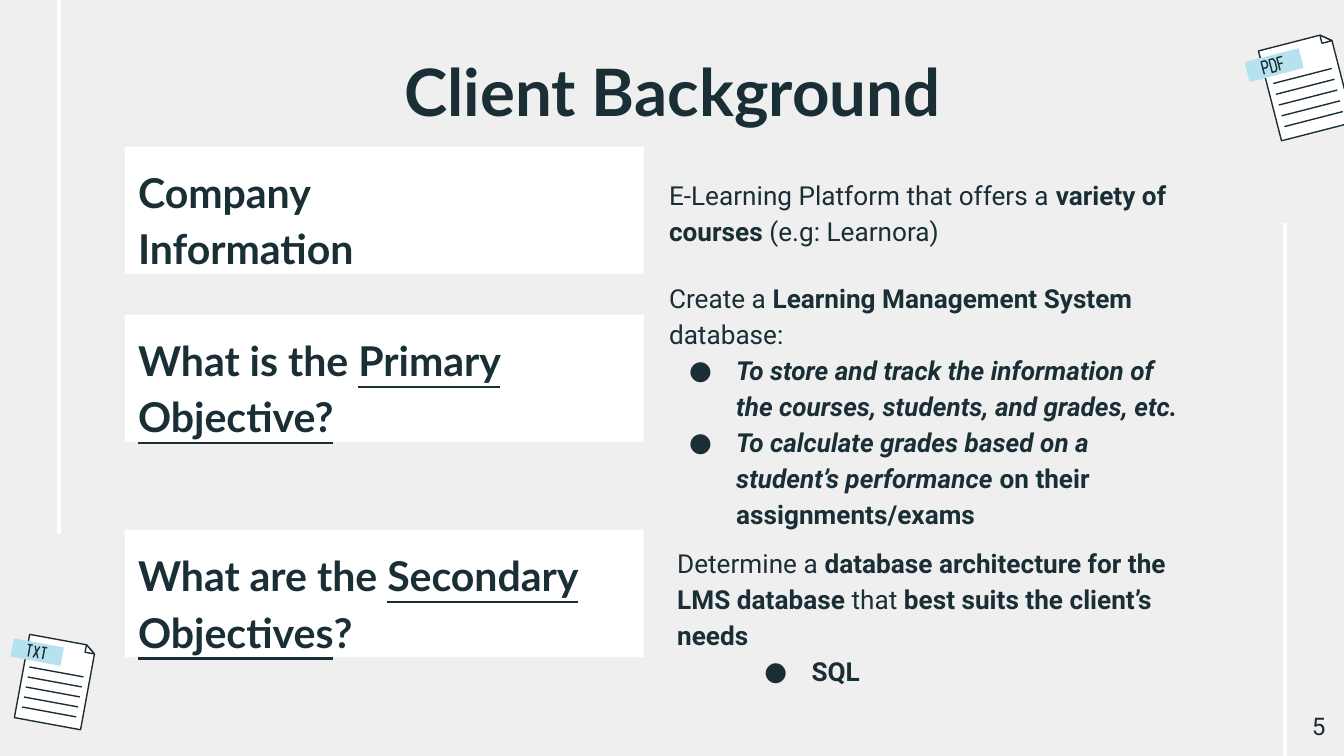
from lxml import etree
from pptx import Presentation
from pptx import util as u
from pptx.dml.color import RGBColor
from pptx.enum import shapes, text
from pptx.oxml import ns

INK, PAPER, TAPE, GROUND = "1A2E35", "FFFFFF", "B6E1EE", "EFEFEF"
WIDTH = 10
HEIGHT = WIDTH * 9 / 16

# Pen strokes of each letter inside a unit cell
LETTERS = {
    "T": [[(0, 0), (1, 0)], [(0.5, 0), (0.5, 1)]],
    "X": [[(0, 0), (1, 1)], [(1, 0), (0, 1)]],
    "P": [[(0, 1), (0, 0), (0.7, 0), (1, 0.15), (1, 0.4), (0.7, 0.55), (0, 0.55)]],
    "D": [[(0, 0), (0.7, 0), (1, 0.2), (1, 0.8), (0.7, 1), (0, 1), (0, 0)]],
    "F": [[(1, 0), (0, 0), (0, 1)], [(0, 0.5), (0.8, 0.5)]],
}

# Text is a list of paragraphs: (bullet indent or None, [(words, styles)])
HEADINGS = [
    (1.09, [(None, [("Company", "b")]), (None, [("Information", "b")])]),
    (2.34, [(None, [("What is the ", "b"), ("Primary Objective?", "bu")])]),
    (3.94, [(None, [("What are the ", "b"), ("Secondary Objectives", "bu"),
                    ("?", "b")])]),
]
COMPANY = [(None, [("E-Learning Platform that offers a ", ""),
                   ("variety of courses", "b"), (" (e.g: Learnora)", "")])]
PRIMARY = [
    (None, [("Create a ", ""), ("Learning Management System ", "b"),
            ("database:", "")]),
    (0.5, [("To store and track the information of the courses, students, "
            "and grades, etc.", "bi")]),
    (0.5, [("To calculate grades based on a student’s performance", "bi"),
           (" on their assignments/exams", "b")]),
]
SECONDARY = [
    (None, [("Determine a ", ""),
            ("database architecture for the LMS database ", "b"),
            ("that ", ""), ("best suits the client’s needs", "b")]),
    (1, [("SQL", "b")]),
]


def color(value):
    return RGBColor.from_string(value)


def inches(*lengths):
    return [u.Inches(length) for length in lengths]


def add_line(parent, start, end, ink, weight):
    line = parent.add_connector(shapes.MSO_CONNECTOR.STRAIGHT,
                                *inches(*start, *end))
    line.line.color.rgb = color(ink)
    line.line.width = u.Pt(weight)
    etree.SubElement(line._element.spPr, ns.qn("a:effectLst"))


def add_outline(parent, strokes, fill=None, ink=None):
    """Draw point lists in inches as one shape, closed when it is filled."""
    strokes = [[inches(*point) for point in points] for points in strokes]
    builder = parent.build_freeform(*strokes[0][0])
    for number, points in enumerate(strokes):
        if number:
            builder.move_to(*points[0])
        builder.add_line_segments(points[1:], close=bool(fill))
    outline = builder.convert_to_shape()
    outline.shadow.inherit = False
    if fill:
        outline.fill.solid()
        outline.fill.fore_color.rgb = color(fill)
    else:
        outline.fill.background()
    if ink:
        outline.line.color.rgb = color(ink)
        outline.line.width = u.Pt(0.75)
    else:
        outline.line.fill.background()


def add_document(page, box, angle, label):
    """Draw a tilted sheet with a folded corner and a taped file type."""
    left, top, width, height = box
    group = page.shapes.add_group_shape()
    parts = group.shapes

    def at(across, down):
        return left + across * width, top + down * height

    edge, fold, drop = 0.18, 0.885, 0.09
    add_outline(parts, [[at(edge, 0), at(fold, 0), at(1, drop), at(1, 1),
                         at(edge, 1)]], PAPER, INK)
    add_outline(parts, [[at(fold, 0), at(1, drop), at(fold, drop)]], PAPER, INK)
    for row in range(5):
        down = 0.38 + 0.12 * row
        add_line(parts, at(0.25, down), at(0.92, down), INK, 0.75)
    add_outline(parts, [[at(0, 0.08), at(0.62, 0.08), at(0.62, 0.3),
                         at(0, 0.3)]], TAPE)
    for column, letter in enumerate(label):
        cell = 0.18 + 0.09 * column
        add_outline(parts, [[at(cell + 0.06 * x, 0.12 + 0.14 * y)
                             for x, y in stroke]
                            for stroke in LETTERS[letter]], ink=INK)
    group.rotation = angle


def add_bullet(para, indent):
    props = para._p.get_or_add_pPr()
    props.set("marL", str(u.Inches(indent)))
    props.set("indent", str(u.Inches(-0.35)))
    tint = etree.SubElement(props, ns.qn("a:buClr"))
    etree.SubElement(tint, ns.qn("a:srgbClr"), val=INK)
    etree.SubElement(props, ns.qn("a:buFont"), typeface="Roboto")
    etree.SubElement(props, ns.qn("a:buChar"), char="●")


def write(shape, paragraphs, font, size, align=text.PP_ALIGN.LEFT,
          anchor=text.MSO_ANCHOR.TOP, spacing=1.15):
    frame = shape.text_frame
    frame.word_wrap = True
    frame.vertical_anchor = anchor
    frame.margin_left = frame.margin_right = u.Inches(0.1)
    frame.margin_top = frame.margin_bottom = u.Inches(0.1)
    for number, (indent, spans) in enumerate(paragraphs):
        para = frame.add_paragraph() if number else frame.paragraphs[0]
        para.alignment = align
        para.line_spacing = spacing
        if indent:
            add_bullet(para, indent)
        for words, styles in spans:
            span = para.add_run()
            span.text = words
            span.font.name = font
            span.font.size = u.Pt(size)
            span.font.color.rgb = color(INK)
            span.font.bold = "b" in styles
            span.font.italic = "i" in styles
            span.font.underline = "u" in styles
    return frame


def add_text(page, box, paragraphs, font, size, **layout):
    return write(page.shapes.add_textbox(*inches(*box)), paragraphs, font,
                 size, **layout)


def add_heading(page, box, paragraphs):
    panel = page.shapes.add_shape(shapes.MSO_SHAPE.RECTANGLE, *inches(*box))
    panel.shadow.inherit = False
    panel.fill.solid()
    panel.fill.fore_color.rgb = color(PAPER)
    panel.line.fill.background()
    write(panel, paragraphs, "Lato", 22)


def add_answer(page, box, paragraphs):
    return add_text(page, box, paragraphs, "Roboto", 14,
                    anchor=text.MSO_ANCHOR.MIDDLE)


def add_decoration(page):
    add_document(page, (0.05, 4.76, 0.61, 0.63), 10.4, "TXT")
    add_document(page, (9.32, 0.3, 0.67, 0.69), -14.4, "PDF")
    inset = 0.44
    add_line(page.shapes, (inset, 0), (inset, 3.97), PAPER, 2.25)
    add_line(page.shapes, (WIDTH - inset, 1.66), (WIDTH - inset, HEIGHT),
             PAPER, 2.25)


def main():
    deck = Presentation()
    deck.slide_width, deck.slide_height = inches(WIDTH, HEIGHT)
    page = deck.slides.add_slide(deck.slide_layouts[6])
    page.background.fill.solid()
    page.background.fill.fore_color.rgb = color(GROUND)

    add_decoration(page)
    add_text(page, (0.79, 0.28, 8.43, 0.63),
             [(None, [("Client Background", "b")])], "Lato", 35,
             align=text.PP_ALIGN.CENTER, spacing=1)
    for top, paragraphs in HEADINGS:
        add_heading(page, (0.93, top, 3.86, 0.95), paragraphs)
    add_answer(page, (4.88, 1.09, 4.03, 0.95), COMPANY)
    primary = add_answer(page, (4.88, 2.44, 4.03, 1.4), PRIMARY)
    primary.margin_bottom = u.Inches(0.37)
    add_answer(page, (4.94, 4.1, 4.03, 0.95), SECONDARY)
    add_text(page, (9.36, 5.19, 0.6, 0.43), [(None, [("5", "")])], "Roboto",
             13, align=text.PP_ALIGN.RIGHT, spacing=1)
    deck.save("out.pptx")


if __name__ == "__main__":
    main()
